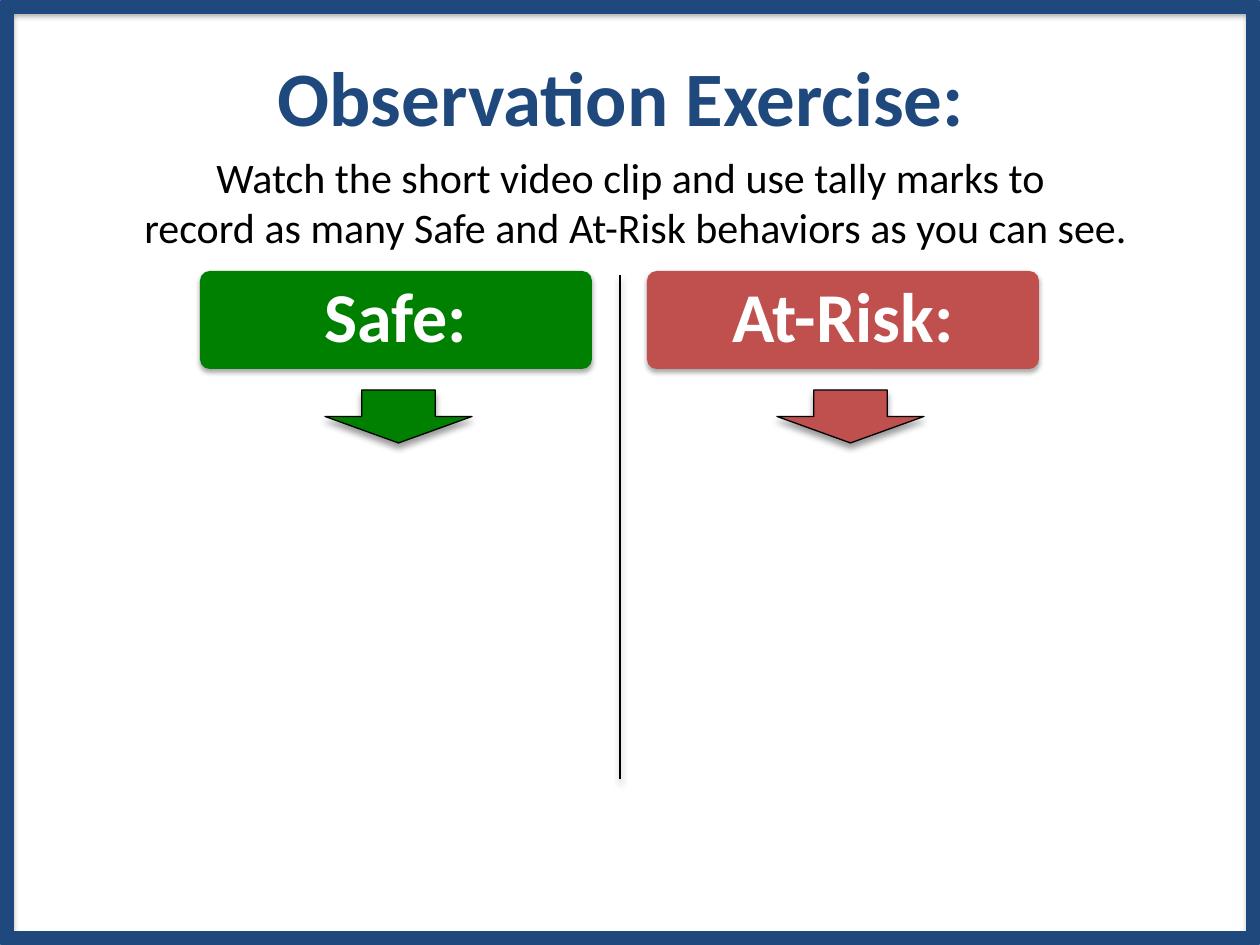
from lxml.etree import SubElement
from pptx import Presentation
from pptx.dml.color import RGBColor
from pptx.enum.shapes import MSO_CONNECTOR, MSO_SHAPE as SHAPE
from pptx.enum.text import MSO_ANCHOR as ANCHOR, PP_ALIGN
from pptx.oxml.ns import qn
from pptx.util import Pt

PX = 914400 / 126
NAVY, GREEN, RED, WHITE, BLACK = "1F497D", "008000", "C0504D", "FFFFFF", "000000"
SOFT, DEEP = (35, 3.1, 1.8), (40, 4, 3)  # shadow opacity %, blur pt, distance pt


def px(*lengths):
    return [round(n * PX) for n in lengths]


def color(hex_code):
    return RGBColor.from_string(hex_code)


def add_shadow(shape, opacity, blur, distance):
    sp_pr = shape._element.spPr
    for old in sp_pr.findall(qn("a:effectLst")):
        sp_pr.remove(old)
    effects = SubElement(sp_pr, qn("a:effectLst"))
    shadow = SubElement(effects, qn("a:outerShdw"), blurRad=str(Pt(blur)),
                        dist=str(Pt(distance)), dir="5400000", rotWithShape="0")
    clr = SubElement(shadow, qn("a:srgbClr"), val=BLACK)
    SubElement(clr, qn("a:alpha"), val=str(opacity * 1000))


def add_shape(s, kind, box, shadow, fill=None, line=None, width=0.75):
    sp = s.shapes.add_shape(kind, *px(*box))
    if fill:
        sp.fill.solid()
        sp.fill.fore_color.rgb = color(fill)
    else:
        sp.fill.background()
    if line:
        sp.line.color.rgb = color(line)
        sp.line.width = Pt(width)
    else:
        sp.line.fill.background()
    add_shadow(sp, *shadow)
    return sp


def add_text(s, box, lines, size, hex_code, bold=False, anchor=ANCHOR.MIDDLE,
             inset=None, spacing=None):
    tf = s.shapes.add_textbox(*px(*box)).text_frame
    tf.word_wrap = True
    tf.vertical_anchor = anchor
    if inset is not None:
        tf.margin_left = tf.margin_right = tf.margin_top = tf.margin_bottom = px(inset)[0]
    for i, line in enumerate(lines):
        p = tf.paragraphs[0] if i == 0 else tf.add_paragraph()
        p.alignment = PP_ALIGN.CENTER
        if spacing:
            p.line_spacing = spacing
        r = p.add_run()
        r.text = line
        r.font.name, r.font.size, r.font.bold = "Calibri", Pt(size), bold
        r.font.color.rgb = color(hex_code)


def add_frame(s, x, y, w, h):
    add_shape(s, SHAPE.RECTANGLE, (x, y, w, h), SOFT, line=NAVY, width=8.75)


def add_heading(s, x, y, w, h):
    add_text(s, (x, y, w, 108), ["Observation Exercise: "], 44, NAVY, bold=True)
    add_text(s, (x + 53, y + 103, w - 95, h - 103),
             ["Watch the short video clip and use tally marks to ",
              "record as many Safe and At-Risk behaviors as you can see."],
             24, BLACK, anchor=ANCHOR.TOP)


def add_column(s, x, y, w, h, label, fill, arrow_dx):
    # Header card with its label
    card = add_shape(s, SHAPE.ROUNDED_RECTANGLE, (x, y, w, h), SOFT, fill)
    card.adjustments[0] = 0.1
    add_text(s, (x + 3, y + 3, w - 6, h - 6), [label], 40, WHITE, bold=True,
             inset=8, spacing=0.9)
    # Arrow to the tally area
    add_shape(s, SHAPE.DOWN_ARROW, (x + arrow_dx, y + 119, 147, 53), DEEP, fill, BLACK)


def add_divider(s, x, y, h):
    line = s.shapes.add_connector(MSO_CONNECTOR.STRAIGHT, *px(x, y, x, y + h))
    line.line.color.rgb = color(BLACK)
    line.line.width = Pt(0.75)
    add_shadow(line, *DEEP)


def main():
    prs = Presentation()
    prs.slide_width, prs.slide_height = px(1260, 945)
    s = prs.slides.add_slide(prs.slide_layouts[6])
    add_frame(s, 6, 6, 1248, 933)
    add_heading(s, 0, 42, 1260, 218)
    add_column(s, 200, 271, 392, 98, "Safe:", GREEN, 125)
    add_column(s, 647, 271, 392, 98, "At-Risk:", RED, 130)
    add_divider(s, 620, 275, 504)
    prs.save("out.pptx")


if __name__ == "__main__":
    main()
